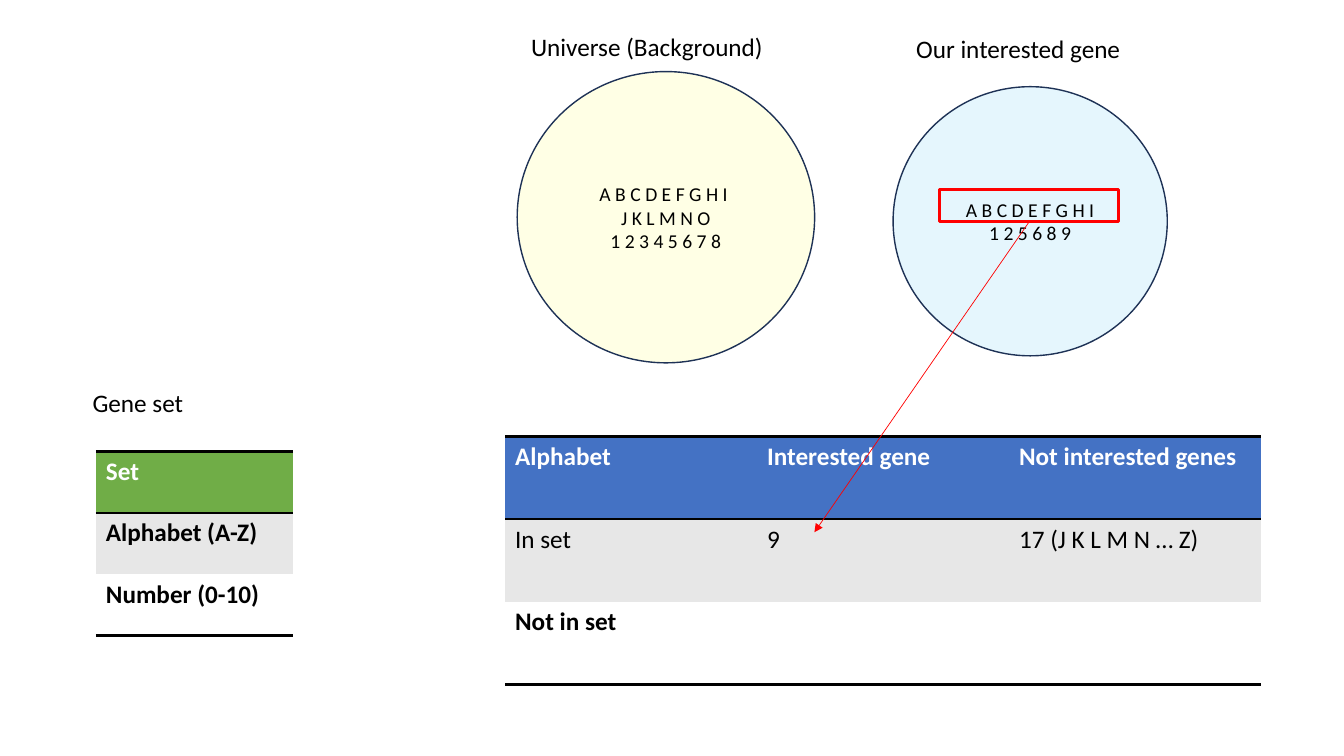
from dataclasses import dataclass

from pptx import Presentation
from pptx.dml.color import RGBColor
from pptx.enum.shapes import MSO_CONNECTOR, MSO_SHAPE
from pptx.enum.text import MSO_ANCHOR, PP_ALIGN
from pptx.oxml.ns import qn
from pptx.util import Inches, Pt
from lxml.etree import SubElement


@dataclass(frozen=True)
class Theme:
    font: str = "Calibri"
    body: float = 18
    small: float = 14
    rule: float = 2
    black: str = "000000"
    white: str = "FFFFFF"
    band: str = "E7E7E7"
    green: str = "70AD47"
    blue: str = "4472C4"
    yellow: str = "FFFF00"
    sky: str = "00B0F0"
    outline: str = "1E3256"
    red: str = "FF0000"


THEME = Theme()
WIDTH, HEIGHT = Inches(13.333), Inches(7.5)


def across(percent):
    return round(WIDTH * percent / 100)


def down(percent):
    return round(HEIGHT * percent / 100)


def place(left, top, width, height):
    """Turn shares of the slide, in percent, into lengths."""
    return across(left), down(top), across(width), down(height)


def write(frame, lines, size, color=THEME.black, bold=False, align=PP_ALIGN.LEFT):
    frame.word_wrap = True
    look = {"name": THEME.font, "size": Pt(size), "bold": bold}
    for index, line in enumerate(lines):
        para = frame.paragraphs[0] if index == 0 else frame.add_paragraph()
        para.text = line
        para.alignment = align
        for span in para.runs:
            for key, value in look.items():
                setattr(span.font, key, value)
            span.font.color.rgb = RGBColor.from_string(color)


def set_line(line, color, width):
    line.color.rgb = RGBColor.from_string(color)
    line.width = Pt(width)


def add_label(page, area, text):
    box = page.shapes.add_textbox(*place(*area))
    write(box.text_frame, [text], THEME.body)


def add_gene_circle(page, area, color, lines):
    circle = page.shapes.add_shape(MSO_SHAPE.OVAL, *place(*area))
    circle.shadow.inherit = False
    circle.fill.solid()
    circle.fill.fore_color.rgb = RGBColor.from_string(color)
    tint = circle.fill._xPr.find(qn("a:solidFill"))[0]
    SubElement(tint, qn("a:alpha"), val="10000")
    set_line(circle.line, THEME.outline, 1)
    circle.text_frame.vertical_anchor = MSO_ANCHOR.MIDDLE
    write(circle.text_frame, lines, THEME.small, align=PP_ALIGN.CENTER)


def add_frame(page, area):
    frame = page.shapes.add_shape(MSO_SHAPE.RECTANGLE, *place(*area))
    frame.shadow.inherit = False
    frame.fill.background()
    set_line(frame.line, THEME.red, 2.25)


def add_arrow(page, start, end):
    arrow = page.shapes.add_connector(
        MSO_CONNECTOR.STRAIGHT,
        across(start[0]), down(start[1]), across(end[0]), down(end[1]))
    set_line(arrow.line, THEME.red, 0.5)
    SubElement(arrow.line._get_or_add_ln(), qn("a:tailEnd"), type="triangle")
    SubElement(arrow._element.spPr, qn("a:effectLst"))


def set_borders(cell, ruled):
    """Draw black rules on the named sides and clear the others."""
    properties = cell._tc.get_or_add_tcPr()
    for side in "LRTB":
        border = SubElement(properties, qn(f"a:ln{side}"), w=str(Pt(THEME.rule)))
        if side in ruled:
            fill = SubElement(border, qn("a:solidFill"))
            SubElement(fill, qn("a:srgbClr"), val=THEME.black)
        else:
            SubElement(border, qn("a:noFill"))


def add_gene_table(page, area, header_color, rows, bold_cells):
    columns = len(rows[0])
    table = page.shapes.add_table(len(rows), columns, *place(*area)).table
    table.first_row = table.horz_banding = False
    fills = [header_color, THEME.band, THEME.white]
    rules = ["TB", "T", "B"]
    for row, texts in enumerate(rows):
        for column, text in enumerate(texts):
            cell = table.cell(row, column)
            set_borders(cell, rules[row])
            cell.fill.solid()
            cell.fill.fore_color.rgb = RGBColor.from_string(fills[row])
            color = THEME.white if row == 0 else THEME.black
            write(cell.text_frame, [text], THEME.body, color,
                  bold=row == 0 or text in bold_cells)


def main():
    deck = Presentation()
    deck.slide_width, deck.slide_height = WIDTH, HEIGHT
    page = deck.slides.add_slide(deck.slide_layouts[6])

    # Background genes and the list of gene sets
    add_gene_circle(page, (38.48, 9.47, 22.13, 38.53), THEME.yellow,
                    ["A B C D E F G H I \vJ K L M N O", "1 2 3 4 5 6 7 8"])
    sets = ["Alphabet (A-Z)", "Number (0-10)"]
    add_gene_table(page, (7.13, 59.73, 14.7, 24.33), THEME.green,
                   [["Set"], *([name] for name in sets)], sets)

    # Interested genes and the contingency table
    add_gene_circle(page, (66.45, 11.47, 20.4, 35.6), THEME.sky,
                    ["A B C D E F G H I", "1 2 5 6 8 9"])
    add_gene_table(page, (37.58, 57.73, 56.25, 32.8), THEME.blue,
                   [["Alphabet", "Interested gene", "Not interested genes"],
                    ["In set", "9", "17 (J K L M N … Z)"],
                    ["Not in set", "", ""]], ["Not in set"])

    # Link from the matching letters to their count
    add_frame(page, (69.9, 25.07, 13.35, 4.27))
    add_arrow(page, (76.58, 29.33), (60.6, 70.4))

    # Headings
    add_label(page, (6.15, 50.53, 9.53, 5.33), "Gene set")
    add_label(page, (38.78, 3.47, 22.43, 5.33), "Universe (Background)")
    add_label(page, (67.43, 3.73, 19.73, 5.33), "Our interested gene")

    deck.save("out.pptx")


if __name__ == "__main__":
    main()
